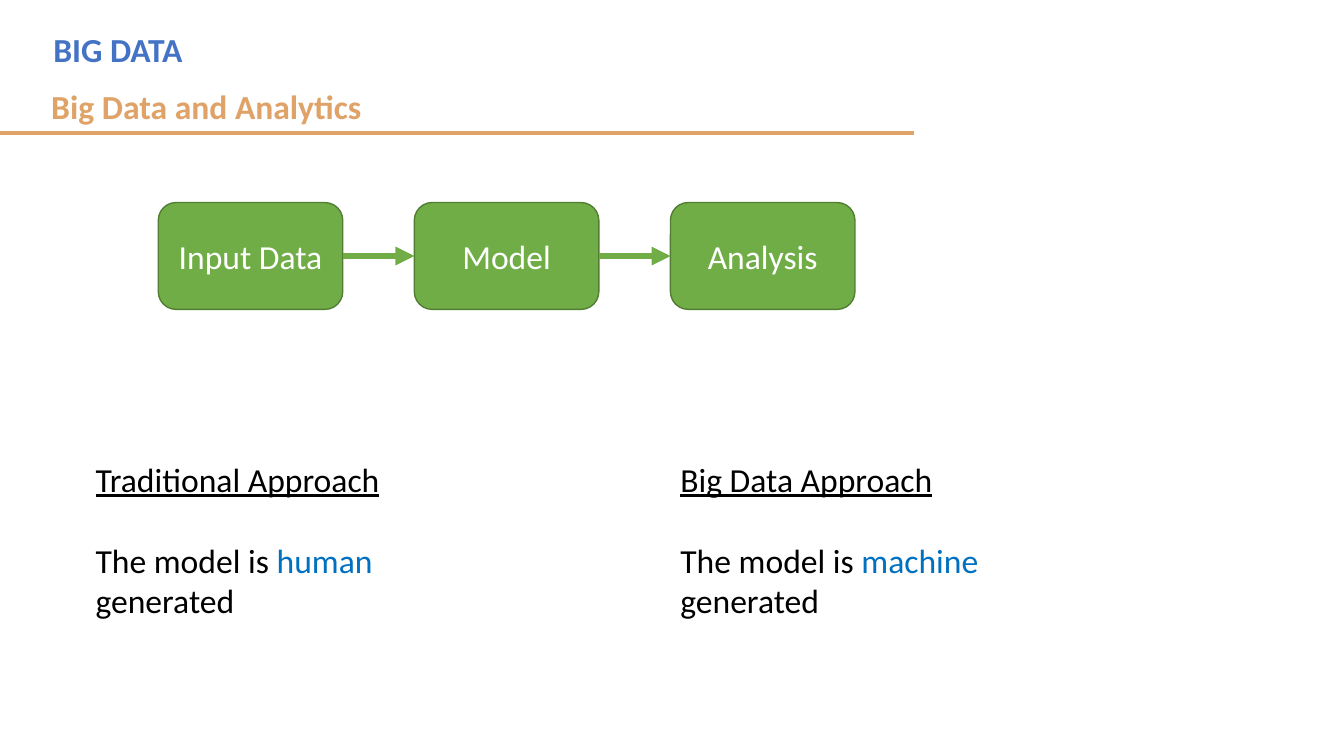
from lxml import etree
from pptx import Presentation
from pptx.dml.color import RGBColor
from pptx.enum.shapes import MSO_CONNECTOR, MSO_SHAPE
from pptx.enum.text import MSO_ANCHOR, PP_ALIGN
from pptx.oxml.ns import qn
from pptx.util import Inches, Pt

STRAIGHT = MSO_CONNECTOR.STRAIGHT
ROUNDED = MSO_SHAPE.ROUNDED_RECTANGLE
MIDDLE = MSO_ANCHOR.MIDDLE
CENTER = PP_ALIGN.CENTER
LEFT_SIDE, RIGHT_SIDE = 1, 3

COLORS = {
    "title": "4472C4",
    "accent": "DFA267",
    "step": "70AD47",
    "step_edge": "517E33",
    "highlight": "0070C0",
    "text": "000000",
    "white": "FFFFFF",
}
FONT = "Calibri"
TEXT_SIZE = Pt(24)
BLANK_LAYOUT = 6

STEPS = ["Input Data", "Model", "Analysis"]
STEP_LEFT, STEP_TOP = 1.57, 2.01
STEP_WIDTH, STEP_HEIGHT = 1.83, 1.06
STEP_PITCH = 2.54

APPROACHES = [("Traditional Approach", "human"), ("Big Data Approach", "machine")]
APPROACH_LEFT, APPROACH_PITCH = 0.85, 5.8


def color(name):
    return RGBColor.from_string(COLORS[name])


def add_span(para, text, color_name, bold=False, underline=False):
    span = para.add_run()
    span.text = text
    span.font.name = FONT
    span.font.size = TEXT_SIZE
    span.font.bold = bold
    span.font.underline = underline
    span.font.color.rgb = color(color_name)


def add_text_box(page, left, top, width, height):
    box = page.shapes.add_textbox(Inches(left), Inches(top), Inches(width), Inches(height))
    box.text_frame.word_wrap = True
    return box.text_frame


def add_heading(page, text, left, top, color_name):
    frame = add_text_box(page, left, top, 8.75, 0.5)
    add_span(frame.paragraphs[0], text, color_name, bold=True)


def add_line(page, start, end, color_name, width):
    line = page.shapes.add_connector(STRAIGHT, *(Inches(value) for value in start + end))
    line.line.color.rgb = color(color_name)
    line.line.width = Pt(width)
    etree.SubElement(line._element.spPr, qn("a:effectLst"))
    return line


def add_step(page, text, column):
    left = STEP_LEFT + column * STEP_PITCH
    box = page.shapes.add_shape(
        ROUNDED, Inches(left), Inches(STEP_TOP), Inches(STEP_WIDTH), Inches(STEP_HEIGHT)
    )
    box.shadow.inherit = False
    box.fill.solid()
    box.fill.fore_color.rgb = color("step")
    box.line.color.rgb = color("step_edge")
    box.line.width = Pt(1)
    frame = box.text_frame
    frame.word_wrap = True
    frame.vertical_anchor = MIDDLE
    para = frame.paragraphs[0]
    para.alignment = CENTER
    add_span(para, text, "white")
    return box


def add_arrow(page, source, target):
    arrow = add_line(page, (0, 0), (1, 0), "step", 4.5)
    arrow.begin_connect(source, RIGHT_SIDE)
    arrow.end_connect(target, LEFT_SIDE)
    etree.SubElement(arrow.line._get_or_add_ln(), qn("a:tailEnd"), type="triangle")


def add_approach(page, title, maker, column):
    frame = add_text_box(page, APPROACH_LEFT + column * APPROACH_PITCH, 4.5, 4.06, 1.72)
    add_span(frame.paragraphs[0], title, "text", underline=True)
    para = frame.add_paragraph()
    para.space_before = Pt(29)
    add_span(para, "The model is ", "text")
    add_span(para, maker, "highlight")
    add_span(para, " generated", "text")


def main():
    deck = Presentation()
    deck.slide_width, deck.slide_height = Inches(13.33), Inches(7.5)
    page = deck.slides.add_slide(deck.slide_layouts[BLANK_LAYOUT])

    add_heading(page, "BIG DATA", 0.43, 0.24, "title")
    add_heading(page, "Big Data and Analytics", 0.41, 0.8, "accent")
    add_line(page, (0, 1.32), (9.07, 1.32), "accent", 3)

    boxes = [add_step(page, text, column) for column, text in enumerate(STEPS)]
    for source, target in zip(boxes, boxes[1:]):
        add_arrow(page, source, target)

    for column, (title, maker) in enumerate(APPROACHES):
        add_approach(page, title, maker, column)

    deck.save("out.pptx")


if __name__ == "__main__":
    main()
